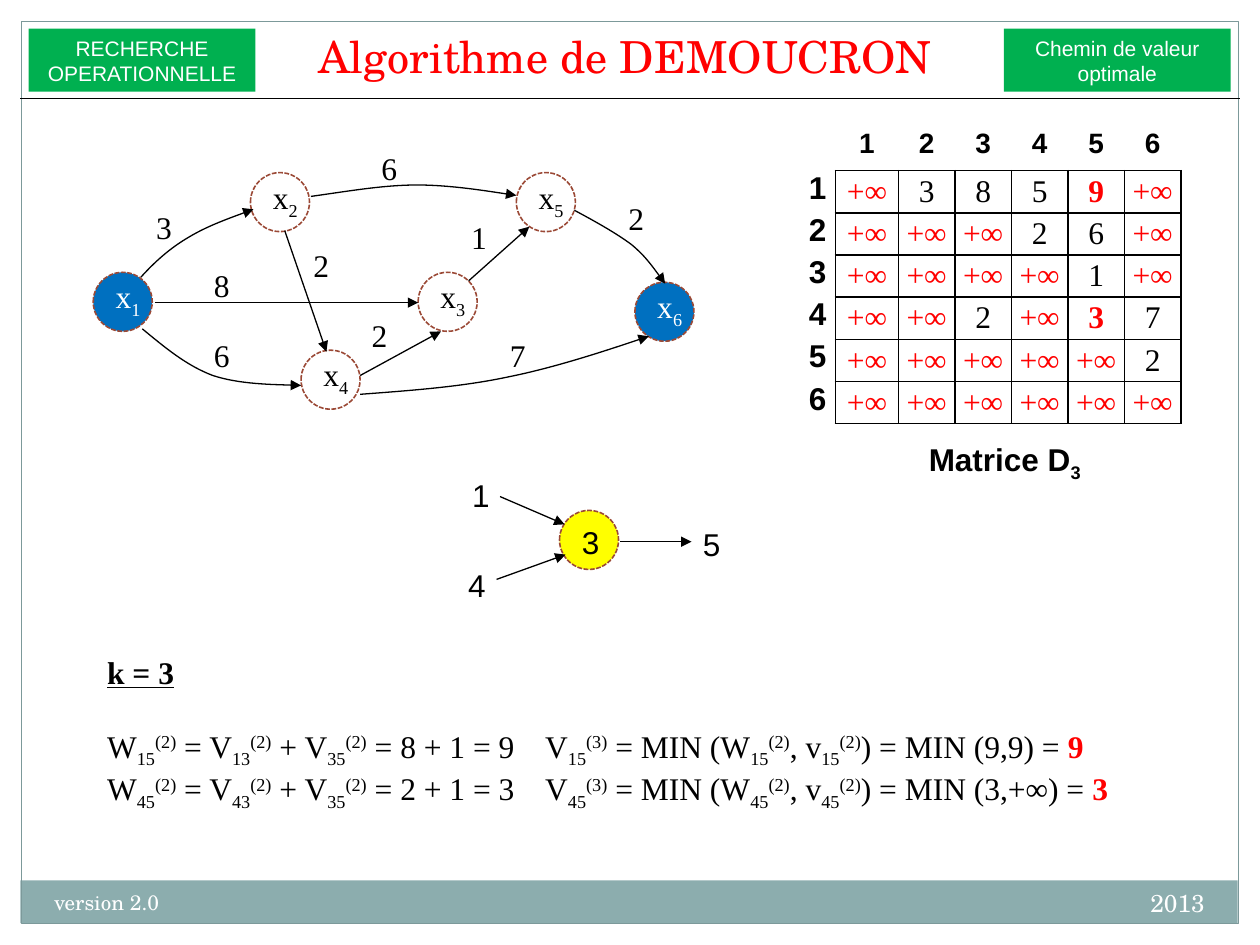
"""Build the slide on Demoucron's algorithm, step k = 3."""
from pptx import Presentation
from pptx.dml.color import RGBColor
from pptx.enum.dml import MSO_LINE
from pptx.enum.shapes import MSO_CONNECTOR, MSO_SHAPE
from pptx.enum.text import MSO_ANCHOR, MSO_AUTO_SIZE, PP_ALIGN
from pptx.oxml import parse_xml
from pptx.oxml.ns import nsdecls, qn
from pptx.util import Cm, Pt

RECTANGLE, OVAL, STRAIGHT = MSO_SHAPE.RECTANGLE, MSO_SHAPE.OVAL, MSO_CONNECTOR.STRAIGHT
LEFT, CENTER, RIGHT = PP_ALIGN.LEFT, PP_ALIGN.CENTER, PP_ALIGN.RIGHT
DASHED = MSO_LINE.SQUARE_DOT
SERIF, SANS, SCHOOL = "Times New Roman", "Arial", "TeX Gyre Schola"
BLACK, WHITE, RED, BLUE, YELLOW = "000000", "FFFFFF", "FF0000", "0070C0", "FFFF00"
GREEN, TEAL, FRAME, BROWN = "00B050", "8CADAE", "7C999A", "9B4936"
SUB, SUPER = -25000, 30000
LINE_HEIGHT, NODE_SIZE = 1.02, 1.19

TITLE = "Algorithme de DEMOUCRON"
BANNERS = [(20.24, "Chemin de valeur\noptimale"), (0.58, "RECHERCHE\nOPERATIONNELLE")]
FOOTERS = [("2013", 16.08, 17.78, 8.46, 14, RIGHT), ("version 2.0", 0.84, 17.81, 9.96, 12, LEFT)]
NODES = [("1", 1.88, 5.49, BLUE), ("5", 10.41, 3.48, None), ("2", 5.05, 3.48, None),
         ("6", 12.8, 5.69, BLUE), ("4", 6.07, 7.06, None), ("3", 8.43, 5.49, None)]
EDGES = [
    ("3", (2.9, 4.06), [(2.84, 5.59), (3.12, 5.28), (3.43, 5), (3.81, 4.78), (4.19, 4.55), (5.11, 4.22)]),
    ("8", (4.06, 5.23), [(3.12, 6.1), (8.43, 6.1)]),
    ("6", (4.06, 6.65), [(2.87, 6.63), (3.33, 7.01), (3.76, 7.37), (4.29, 7.57), (4.83, 7.75), (6.07, 7.77)]),
    ("2", (6.07, 4.83), [(5.74, 4.65), (6.58, 7.09)]),
    ("6", (7.44, 2.87), [(6.27, 3.96), (6.99, 3.86), (7.72, 3.73), (8.41, 3.73), (9.09, 3.73), (10.41, 3.94)]),
    ("1", (9.25, 4.27), [(9.45, 5.66), (10.67, 4.57)]),
    ("2", (7.24, 6.25), [(7.26, 7.57), (8.89, 6.68)]),
    ("7", (10.03, 6.65), [(7.26, 7.95), (8.31, 7.87), (9.32, 7.8), (10.29, 7.59), (11.28, 7.39), (13.08, 6.78)]),
    ("2", (12.42, 3.89), [(11.58, 4.24), (12.01, 4.47), (12.42, 4.7), (12.73, 4.93), (13.03, 5.18), (13.41, 5.72)]),
]
PIVOT_EDGES = [("5", (13.92, 10.46), [(12.5, 10.92), (13.94, 10.92)]),
               ("4", (9.19, 11.28), [(10.01, 11.68), (11.4, 11.18)]),
               ("1", (9.27, 9.47), [(10.08, 10.01), (11.38, 10.57)])]
INFINITY = "+∞"
MATRIX = [row.replace("-", INFINITY).split() for row in
          ("- 3 8 5 9 -", "- - - 2 6 -", "- - - - 1 -", "- - 2 - 3 7", "- - - - - 2", "- - - - - -")]
UPDATED = {(1, 5), (4, 5)}
COLUMN_WIDTHS = [1.98, 1.27] + [1.14] * 5
EQUATIONS = [("1", "8 + 1 = 9", "9,9", "9"), ("4", "2 + 1 = 3", "3,+∞", "3")]


def color(value):
    return RGBColor.from_string(value)


def format_run(run, size, font, ink, bold=False, baseline=0):
    run.font.size, run.font.name, run.font.bold = Pt(size), font, bold
    run.font.color.rgb = color(ink)
    if baseline:
        run.font._element.set("baseline", str(baseline))


def write(frame, text, size, font, ink, align=LEFT, bold=False):
    frame.text = text
    frame.word_wrap = True
    for paragraph in frame.paragraphs:
        paragraph.alignment = align
        for run in paragraph.runs:
            format_run(run, size, font, ink, bold)


def add_label(shapes, text, left, top, width, size=18, font=SERIF, ink=BLACK,
              align=LEFT, bold=False, subscript=""):
    box = shapes.add_textbox(Cm(left), Cm(top), Cm(width), Cm(LINE_HEIGHT))
    frame = box.text_frame
    write(frame, text, size, font, ink, align, bold)
    frame.auto_size = MSO_AUTO_SIZE.SHAPE_TO_FIT_TEXT
    if subscript:
        run = frame.paragraphs[0].add_run()
        run.text = subscript
        format_run(run, size, font, ink, bold, SUB)
    return frame


def add_box(shapes, kind, left, top, width, height, fill=None, line=None, line_width=0.75):
    shape = shapes.add_shape(kind, Cm(left), Cm(top), Cm(width), Cm(height))
    shape.shadow.inherit = False
    if fill:
        shape.fill.solid()
        shape.fill.fore_color.rgb = color(fill)
    else:
        shape.fill.background()
    if line:
        shape.line.color.rgb = color(line)
        shape.line.width = Pt(line_width)
    else:
        shape.line.fill.background()
    return shape


def add_node(shapes, left, top, fill):
    node = add_box(shapes, OVAL, left, top, NODE_SIZE, NODE_SIZE, fill, BROWN, 0.9)
    node.line.dash_style = DASHED


def add_curve(shapes, points):
    points = [(Cm(x), Cm(y)) for x, y in points + points[-1:]]
    builder = shapes.build_freeform(*points[0])
    builder.add_line_segments(points[1:], close=False)
    curve = builder.convert_to_shape()
    curve.fill.background()
    segments = list(curve._element.iter(qn("a:lnTo")))
    for start in range(0, len(segments), 3):
        bezier = parse_xml(f"<a:cubicBezTo {nsdecls('a')}/>")
        segments[start].addprevious(bezier)
        for segment in segments[start:start + 3]:
            bezier.append(segment[0])
            segment.getparent().remove(segment)
    return curve


def add_line(shapes, points, arrow=True):
    if len(points) == 2:
        (x1, y1), (x2, y2) = points
        line = shapes.add_connector(STRAIGHT, Cm(x1), Cm(y1), Cm(x2), Cm(y2))
    else:
        line = add_curve(shapes, points)
    line.line.color.rgb = color(BLACK)
    line.line.width = Pt(0.75)
    properties = line._element.spPr
    if arrow:
        properties.find(qn("a:ln")).append(parse_xml(f'<a:tailEnd {nsdecls("a")} type="triangle"/>'))
    properties.append(parse_xml(f"<a:effectLst {nsdecls('a')}/>"))


def set_borders(cell, visible_sides):
    properties = cell._tc.get_or_add_tcPr()
    for index, side in enumerate("LRTB"):
        fill = (f'<a:solidFill><a:srgbClr val="{BLACK}"/></a:solidFill>'
                if side in visible_sides else "<a:noFill/>")
        properties.insert(index, parse_xml(f'<a:ln{side} {nsdecls("a")} w="12700">{fill}</a:ln{side}>'))


def add_matrix(shapes):
    size = len(MATRIX) + 1
    table = shapes.add_table(size, size, Cm(14.86), Cm(2.59),
                             Cm(sum(COLUMN_WIDTHS)), Cm(0.85 * size)).table
    table.first_row = table.horz_banding = False
    for column, width in zip(table.columns, COLUMN_WIDTHS):
        column.width = Cm(width)
    for i in range(size):
        table.rows[i].height = Cm(0.85)
        for j in range(size):
            cell = table.cell(i, j)
            cell.margin_top = cell.margin_bottom = 0
            cell.margin_left = cell.margin_right = Cm(0 if i and j else 0.18)
            cell.fill.background()
            if i and j:
                value, updated = MATRIX[i - 1][j - 1], (i, j) in UPDATED
                ink = RED if updated or value == INFINITY else BLACK
                write(cell.text_frame, value, 18, SERIF, ink, CENTER, updated)
                cell.vertical_anchor = MSO_ANCHOR.MIDDLE
                set_borders(cell, "LRTB")
            else:
                text = str(i or j) if i or j else ""
                write(cell.text_frame, text, 18 if i else 16, SANS, BLACK, RIGHT if i else CENTER, True)
                set_borders(cell, "R" if i else "B" if j else "")


def term(letter, indices, step):
    return [(letter, 0), (indices, SUB), (f"({step})", SUPER)]


def add_equations(shapes):
    frame = add_label(shapes, "k = 3", 1.91, 13.03, 21.82, bold=True)
    frame.paragraphs[0].runs[0].font.underline = True
    for number, (row, total, choices, result) in enumerate(EQUATIONS):
        paragraph = frame.add_paragraph()
        paragraph.space_before = Pt(0 if number else 20.7)
        paragraph._p.get_or_add_pPr().append(parse_xml(
            f'<a:tabLst {nsdecls("a")}><a:tab pos="{Cm(8.83)}" algn="l"/></a:tabLst>'))
        pieces = (term("W", row + "5", 2) + term(" = V", row + "3", 2) + term(" + V", "35", 2)
                  + [(f" = {total}", 0)] + term("\tV", row + "5", 3)
                  + term(" = MIN (W", row + "5", 2) + term(", v", row + "5", 2)
                  + [(f") = MIN ({choices}) = ", 0)])
        for text, baseline in pieces + [(result, 0)]:
            run = paragraph.add_run()
            run.text = text
            format_run(run, 18, SERIF, BLACK, baseline=baseline)
        format_run(run, 18, SERIF, RED, True)


presentation = Presentation()
presentation.slide_width, presentation.slide_height = Cm(25.4), Cm(19.05)
slide = presentation.slides.add_slide(presentation.slide_layouts[5])
shapes = slide.shapes

add_box(shapes, RECTANGLE, 0.41, 17.75, 24.54, 0.86, TEAL)
add_box(shapes, RECTANGLE, 0.43, 0.43, 24.54, 18.19, line=FRAME)
for text, left, top, width, size, align in FOOTERS:
    add_label(shapes, text, left, top, width, size, SCHOOL, WHITE, align)

title = shapes.title
title.left, title.top, title.width, title.height = Cm(5.16), Cm(0.64), Cm(14.88), Cm(1.14)
write(title.text_frame, TITLE, 25.2, SCHOOL, RED, CENTER)
title.text_frame.vertical_anchor = MSO_ANCHOR.BOTTOM
title.text_frame.auto_size = MSO_AUTO_SIZE.NONE

for left, text in BANNERS:
    banner = add_box(shapes, RECTANGLE, left, 0.58, 4.57, 1.27, GREEN)
    write(banner.text_frame, text, 12, SANS, WHITE, CENTER)
add_equations(shapes)
add_line(shapes, [(0.41, 1.98), (24.99, 1.98)], arrow=False)

add_node(shapes, 11.28, 10.29, YELLOW)
add_label(shapes, "3", 11.48, 10.41, 1.17, font=SANS)
for text, (left, top), points in PIVOT_EDGES:
    add_line(shapes, points)
    add_label(shapes, text, left, top, 0.97, font=SANS)

graph = shapes.add_group_shape().shapes
for index, left, top, fill in NODES:
    add_node(graph, left, top, fill)
    add_label(graph, "x", left + 0.2, top - 0.02, 1.4, ink=WHITE if fill else BLACK, subscript=index)
for weight, (left, top), points in EDGES:
    add_line(graph, points)
    add_label(graph, weight, left, top, 1.19)

add_label(shapes, "Matrice D", 16.79, 8.74, 6.93, font=SANS, align=CENTER, bold=True, subscript="3")
add_matrix(shapes)
presentation.save("out.pptx")
